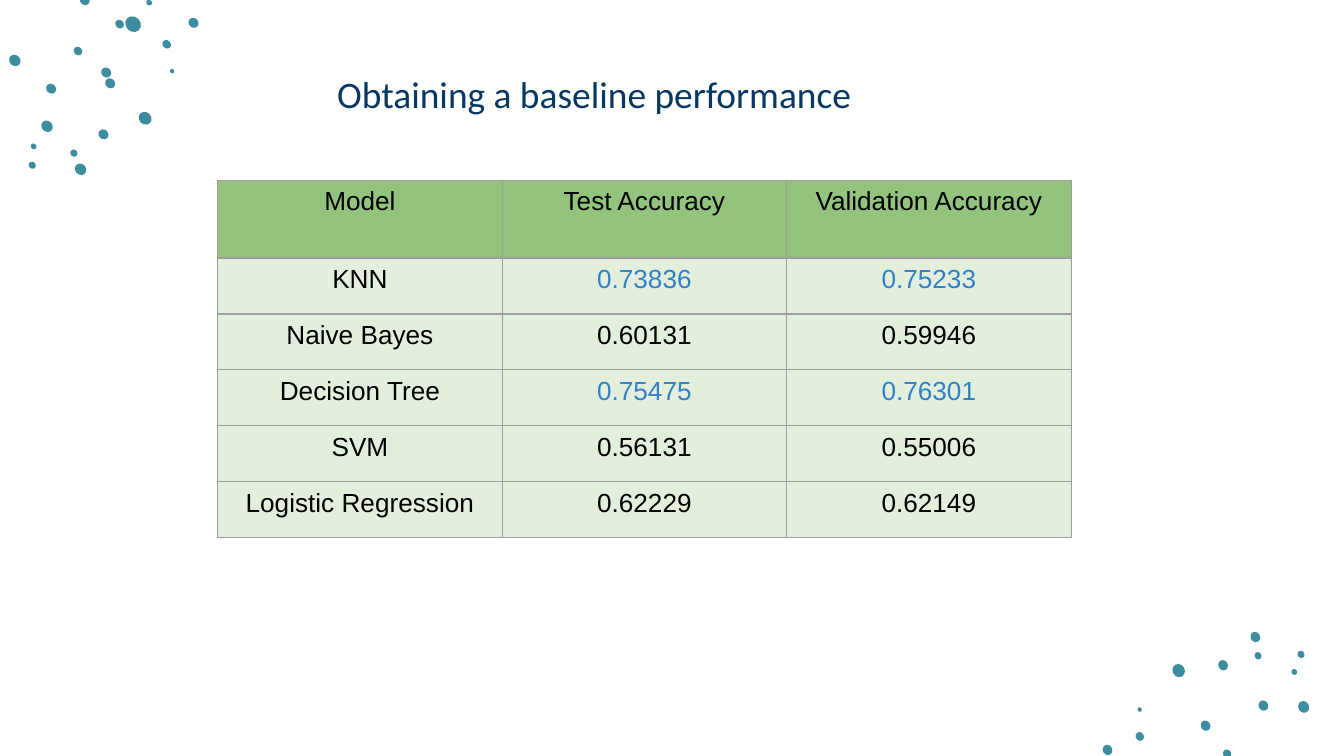
from dataclasses import dataclass

from lxml import etree
from pptx import Presentation
from pptx.dml.color import RGBColor
from pptx.enum.shapes import MSO_SHAPE
from pptx.enum.text import PP_ALIGN
from pptx.oxml.ns import qn
from pptx.util import Inches, Pt


@dataclass(frozen=True)
class Theme:
    dot: str = "3C8DA0"
    title: str = "073763"
    text: str = "000000"
    highlight: str = "3180C8"
    header_fill: str = "93C47D"
    body_fill: str = "E2EFDC"
    border: str = "9E9E9E"
    title_font: str = "Calibri"
    table_font: str = "Arial"
    title_size: int = 20
    table_size: int = 14
    border_width: float = 0.75


THEME = Theme()
SLIDE_WIDTH = 10
SLIDE_HEIGHT = SLIDE_WIDTH * 9 / 16
DOT_STRETCH = 1.12  # length of a dot relative to its thickness

# Dots as centre x, centre y and thickness, within their corner box
TOP_LEFT_DOTS = [
    (0.99, 0.18, 0.11), (1.11, 0.02, 0.04), (0.63, 0, 0.07), (0.89, 0.18, 0.06),
    (0.58, 0.38, 0.06), (0.79, 0.54, 0.07), (0.82, 0.62, 0.07), (0.38, 0.66, 0.07),
    (0.77, 1, 0.07), (0.35, 0.94, 0.08), (0.55, 1.14, 0.05), (0.6, 1.26, 0.08),
    (0.25, 1.09, 0.04), (0.24, 1.23, 0.05), (1.08, 0.88, 0.09), (1.44, 0.17, 0.07),
    (1.24, 0.33, 0.06), (1.28, 0.53, 0.03), (0.11, 0.45, 0.08),
]
BOTTOM_RIGHT_DOTS = [
    (1.13, 1.11, 0.06), (0.97, 0.9, 0.07), (1.4, 0.75, 0.07), (1.1, 0.45, 0.07),
    (1.36, 0.38, 0.05), (1.34, 0.24, 0.07), (1.63, 0.5, 0.04), (1.68, 0.37, 0.05),
    (0.77, 0.49, 0.09), (0.24, 1.08, 0.07), (0.48, 0.98, 0.06), (0.48, 0.78, 0.03),
    (1.7, 0.76, 0.08),
]

HEADERS = ["Model", "Test Accuracy", "Validation Accuracy"]
RESULTS = [
    ["KNN", "0.73836", "0.75233"],
    ["Naive Bayes", "0.60131", "0.59946"],
    ["Decision Tree", "0.75475", "0.76301"],
    ["SVM", "0.56131", "0.55006"],
    ["Logistic Regression", "0.62229", "0.62149"],
]
BEST_MODELS = {"KNN", "Decision Tree"}


def add_run(paragraph, text, font_name, size, color):
    run = paragraph.add_run()
    run.text = text
    run.font.name = font_name
    run.font.size = Pt(size)
    run.font.color.rgb = RGBColor.from_string(color)


def add_dots(slide, left, top, dots, rotation):
    for x, y, thickness in dots:
        length = thickness * DOT_STRETCH
        dot = slide.shapes.add_shape(
            MSO_SHAPE.OVAL,
            Inches(left + x - length / 2), Inches(top + y - thickness / 2),
            Inches(length), Inches(thickness))
        dot.rotation = rotation
        dot.shadow.inherit = False
        dot.fill.solid()
        dot.fill.fore_color.rgb = RGBColor.from_string(THEME.dot)
        dot.line.fill.background()


def set_borders(cell):
    properties = cell._tc.get_or_add_tcPr()
    for position, side in enumerate(("a:lnL", "a:lnR", "a:lnT", "a:lnB")):
        line = etree.Element(qn(side), w=str(Pt(THEME.border_width)))
        fill = etree.SubElement(line, qn("a:solidFill"))
        etree.SubElement(fill, qn("a:srgbClr"), val=THEME.border)
        properties.insert(position, line)


def fill_cell(cell, text, fill, color):
    cell.fill.solid()
    cell.fill.fore_color.rgb = RGBColor.from_string(fill)
    paragraph = cell.text_frame.paragraphs[0]
    paragraph.alignment = PP_ALIGN.CENTER
    add_run(paragraph, text, THEME.table_font, THEME.table_size, color)
    set_borders(cell)


def add_results_table(slide, left, top, width, height, header_height=0.58):
    table = slide.shapes.add_table(
        len(RESULTS) + 1, len(HEADERS),
        Inches(left), Inches(top), Inches(width), Inches(height)).table
    for column in table.columns:
        column.width = Inches(width / len(HEADERS))
    for row in table.rows:
        row.height = Inches((height - header_height) / len(RESULTS))
    table.rows[0].height = Inches(header_height)

    for column, header in enumerate(HEADERS):
        fill_cell(table.cell(0, column), header, THEME.header_fill, THEME.text)
    for row, result in enumerate(RESULTS, start=1):
        for column, text in enumerate(result):
            is_best = column > 0 and result[0] in BEST_MODELS
            color = THEME.highlight if is_best else THEME.text
            fill_cell(table.cell(row, column), text, THEME.body_fill, color)


def add_title(slide, left, top, width, height):
    box = slide.shapes.add_textbox(
        Inches(left), Inches(top), Inches(width), Inches(height))
    box.text_frame.word_wrap = True
    add_run(box.text_frame.paragraphs[0], "Obtaining a baseline performance",
            THEME.title_font, THEME.title_size, THEME.title)


def main():
    presentation = Presentation()
    presentation.slide_width = Inches(SLIDE_WIDTH)
    presentation.slide_height = Inches(SLIDE_HEIGHT)
    slide = presentation.slides.add_slide(presentation.slide_layouts[6])

    # Corner decorations
    add_dots(slide, 0, 0, TOP_LEFT_DOTS, rotation=45)
    add_dots(slide, 8, 4.5, BOTTOM_RIGHT_DOTS, rotation=60)

    # Results and title
    add_results_table(slide, 1.62, 1.34, 6.35, 2.66)
    add_title(slide, 2.41, 0.48, 4.64, 0.44)

    presentation.save("out.pptx")


if __name__ == "__main__":
    main()
